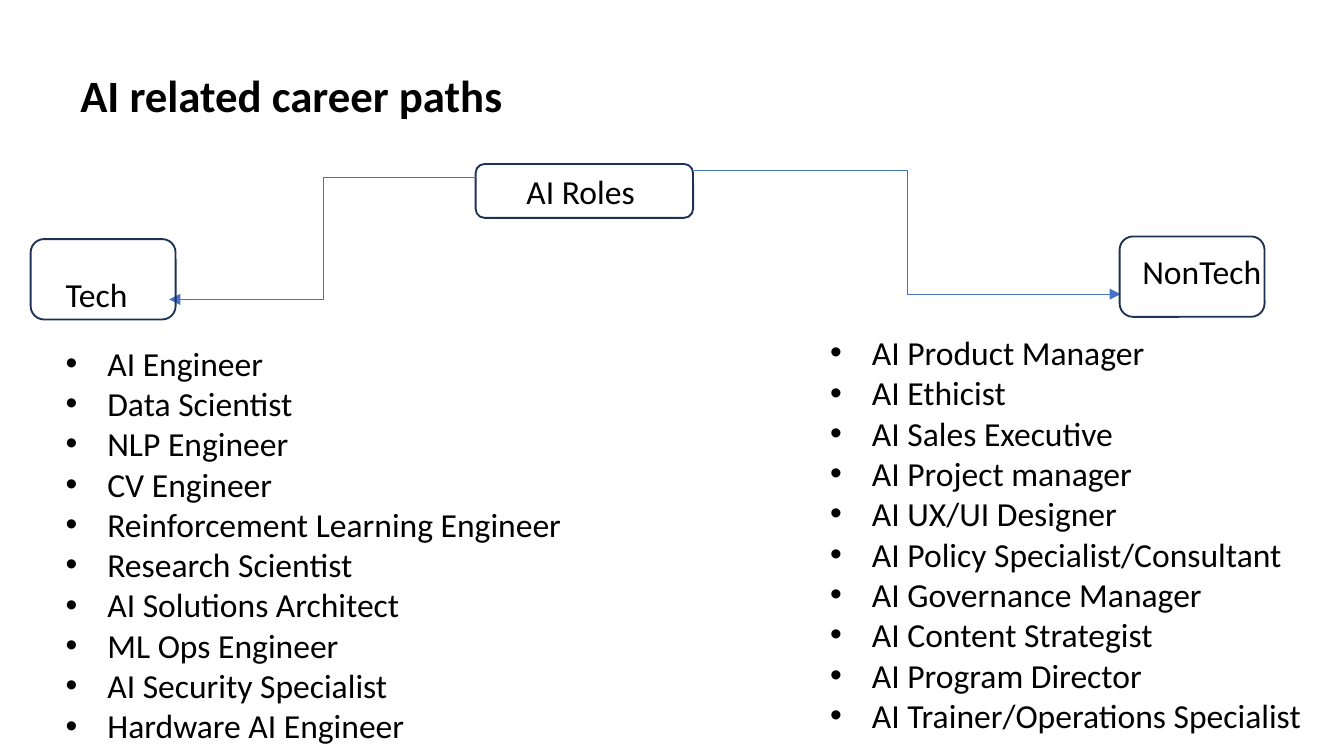
import pptx
import pptx.dml.color
import pptx.enum.shapes
import pptx.enum.text
import pptx.oxml
import pptx.oxml.ns
import pptx.util

Cm = pptx.util.Cm
Pt = pptx.util.Pt

COLORS = {"text": "000000", "outline": "1E3256", "arrow": "4472C4"}

TECH_ROLES = [
    "AI Engineer",
    "Data Scientist",
    "NLP Engineer",
    "CV Engineer",
    "Reinforcement Learning Engineer",
    "Research Scientist",
    "AI Solutions Architect",
    "ML Ops Engineer",
    "AI Security Specialist",
    "Hardware AI Engineer",
]
NONTECH_ROLES = [
    "AI Product Manager",
    "AI Ethicist",
    "AI Sales Executive",
    "AI Project manager",
    "AI UX/UI Designer",
    "AI Policy Specialist/Consultant",
    "AI Governance Manager",
    "AI Content Strategist",
    "AI Program Director",
    "AI Trainer/Operations Specialist",
]


def add_element(parent, tag, **attributes):
    element = pptx.oxml.parse_xml(f"<{tag} {pptx.oxml.ns.nsdecls('a')}/>")
    for name, value in attributes.items():
        element.set(name, value)
    parent.append(element)


class CareerSlide:
    font_name = "Calibri"
    bullet_indent = Cm(0.79)

    def __init__(self, slide):
        self.slide = slide

    def color(self, name):
        return pptx.dml.color.RGBColor.from_string(COLORS[name])

    def style_line(self, shape, color, width):
        shape.line.color.rgb = self.color(color)
        shape.line.width = Pt(width)

    def text(self, lines, left, top, width, height, size=18, bold=False,
             wrap=True, bullets=False, middle=False):
        box = self.slide.shapes.add_textbox(Cm(left), Cm(top), Cm(width), Cm(height))
        frame = box.text_frame
        frame.word_wrap = wrap
        if middle:
            frame.vertical_anchor = pptx.enum.text.MSO_ANCHOR.MIDDLE
        for index, line in enumerate(lines):
            paragraph = frame.add_paragraph() if index else frame.paragraphs[0]
            if bullets:
                self.bullet(paragraph)
            run = paragraph.add_run()
            run.text = line
            run.font.name = self.font_name
            run.font.size = Pt(size)
            run.font.bold = bold
            run.font.color.rgb = self.color("text")

    def bullet(self, paragraph):
        properties = paragraph._p.get_or_add_pPr()
        properties.set("marL", str(self.bullet_indent))
        properties.set("indent", str(-self.bullet_indent))
        add_element(properties, "a:buFont", typeface="Arial")
        add_element(properties, "a:buChar", char="•")

    def rounded_box(self, left, top, width, height):
        shape = self.slide.shapes.add_shape(
            pptx.enum.shapes.MSO_SHAPE.ROUNDED_RECTANGLE,
            Cm(left), Cm(top), Cm(width), Cm(height))
        shape.shadow.inherit = False
        shape.fill.background()
        self.style_line(shape, "outline", 1)

    def elbow_arrow(self, start, end):
        connector = self.slide.shapes.add_connector(
            pptx.enum.shapes.MSO_CONNECTOR.ELBOW,
            *(Cm(value) for value in (*start, *end)))
        self.style_line(connector, "arrow", 0.5)
        add_element(connector.line._get_or_add_ln(), "a:tailEnd", type="triangle")
        add_element(connector._element.spPr, "a:effectLst")


def main():
    presentation = pptx.Presentation()
    presentation.slide_width = Cm(25.4)
    presentation.slide_height = Cm(14.29)
    page = CareerSlide(presentation.slides.add_slide(presentation.slide_layouts[6]))

    page.text(["AI related career paths"], 1.27, 0.64, 22.86, 2.29,
              size=24, bold=True, middle=True)

    page.rounded_box(8.99, 3.1, 4.11, 1.02)
    page.text(["AI Roles"], 9.7, 3.1, 2.59, 1.02, wrap=False)

    page.elbow_arrow((9.02, 3.35), (3.2, 5.66))
    page.elbow_arrow((13.11, 3.23), (21.18, 5.56))

    page.rounded_box(0.58, 4.52, 2.74, 1.52)
    page.rounded_box(21.16, 4.47, 2.74, 1.52)
    page.text(["Tech"], 0.99, 5.05, 1.7, 1.02, wrap=False)
    page.text(["NonTech"], 21.34, 4.62, 2.79, 1.02, wrap=False)

    page.text(TECH_ROLES, 0.99, 6.35, 10.62, 7.95, bullets=True)
    page.text(NONTECH_ROLES, 15.44, 6.15, 9.42, 8.71, bullets=True)

    presentation.save("out.pptx")


if __name__ == "__main__":
    main()
